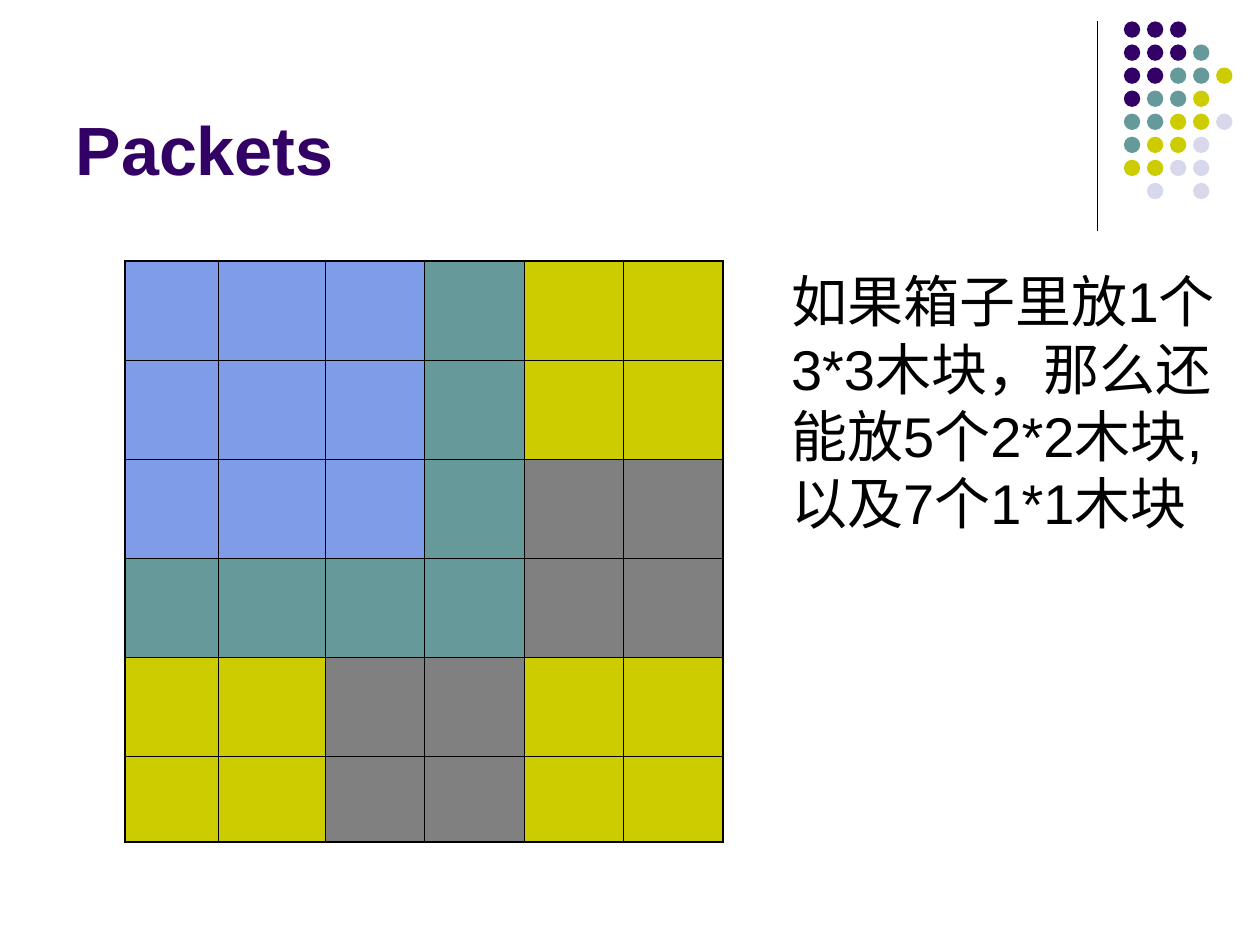
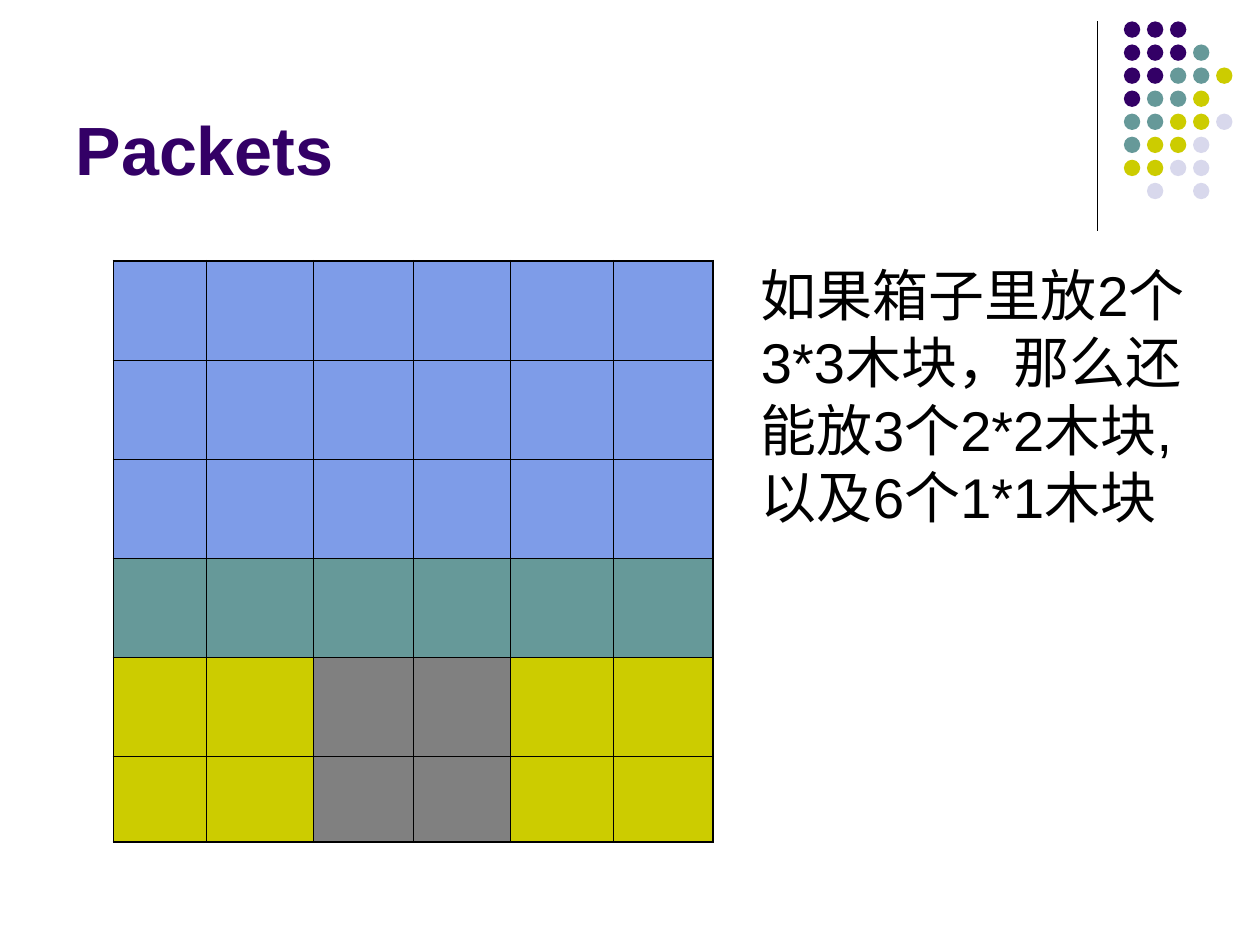
import dataclasses
import lxml.etree
import pptx
import pptx.dml.color
import pptx.enum.shapes
import pptx.enum.text
import pptx.oxml.ns
import pptx.util


@dataclasses.dataclass(frozen=True)
class Theme:
    font: str = "Arial"
    head: float = 39
    body: float = 32
    thin: float = 0.45
    thick: float = 1.08
    rule: float = 0.75
    black: str = "000000"
    plum: str = "330066"
    teal: str = "669999"
    lime: str = "CCCC00"
    mist: str = "D8D8EC"
    blue: str = "7E9CE8"
    gray: str = "808080"


THEME = Theme()
INKS = {"P": THEME.plum, "T": THEME.teal, "L": THEME.lime,
        "M": THEME.mist, "B": THEME.blue, "G": THEME.gray}
WIDE, HIGH = pptx.util.Inches(10), pptx.util.Inches(7.5)
COLS, ROWS = 100, 75
DOTS = ("PPP", "PPPT", "PPTTL", "PTTL", "TTLLM", "TLLM", "LLMM", " M M")
STEP, SIZE = 1.83, 1.3
DEPTHS = [7.87] * 5 + [6.8]
BLOCKS = [
    {"grid": ("BBBTLL", "BBBTLL", "BBBTGG", "TTTTGG", "LLGGLL", "LLGGLL"),
     "left": 9.9, "widths": (7.4, 8.5, 7.9, 7.9, 7.9, 7.9), "spot": (61.8, 20.7),
     "text": "如果箱子里放1个3*3木块，那么还能放5个2*2木块,以及7个1*1木块"},
    {"grid": ("BBBBBB", "BBBBBB", "BBBBBB", "TTTTTT", "LLGGLL", "LLGGLL"),
     "left": 9, "widths": (7.4, 8.5, 7.9, 7.7, 8.2, 7.9), "spot": (59.4, 20.2),
     "text": "如果箱子里放2个3*3木块，那么还能放3个2*2木块,以及6个1*1木块"},
]


def across(cols):
    return round(WIDE * cols / COLS)


def down(rows):
    return round(HIGH * rows / ROWS)


def area(left, top, width, height):
    return across(left), down(top), across(width), down(height)


def put(item, **vals):
    for key, val in vals.items():
        setattr(item, key, val)


def ink(code):
    return pptx.dml.color.RGBColor.from_string(code)


def paint(fill, code):
    fill.solid()
    fill.fore_color.rgb = ink(code)


def write(frame, text, size, code, bold=False):
    part = frame.paragraphs[0]
    part.alignment = pptx.enum.text.PP_ALIGN.LEFT
    run = part.add_run()
    run.text = text
    put(run.font, name=THEME.font, size=pptx.util.Pt(size), bold=bold)
    run.font.color.rgb = ink(code)


def add_dot(group, col, row, code):
    spot = area(89.2 + col * STEP, 1.7 + row * STEP, SIZE, SIZE)
    dot = group.shapes.add_shape(pptx.enum.shapes.MSO_SHAPE.OVAL, *spot)
    dot.shadow.inherit = False
    paint(dot.fill, code)
    dot.line.fill.background()


def add_rule(group):
    kind = pptx.enum.shapes.MSO_CONNECTOR.STRAIGHT
    rule = group.shapes.add_connector(
        kind, across(87.1), down(1.7), across(87.1), down(18.3))
    rule.line.width = pptx.util.Pt(THEME.rule)
    rule.line.color.rgb = ink(THEME.black)
    lxml.etree.SubElement(rule.element.spPr, pptx.oxml.ns.qn("a:effectLst"))


def add_motif(slide):
    group = slide.shapes.add_group_shape()
    add_rule(group)
    for row, line in enumerate(DOTS):
        for col, mark in enumerate(line):
            if mark in INKS:
                add_dot(group, col, row, INKS[mark])
    slide.slide_layout.shapes.element.append(group.element)


def add_title(slide, text):
    title = slide.shapes.title
    left, top, width, height = area(5, 1.3, 82.5, 14.2)
    put(title, left=left, top=top, width=width, height=height)
    put(title.text_frame, vertical_anchor=pptx.enum.text.MSO_ANCHOR.BOTTOM,
        auto_size=pptx.enum.text.MSO_AUTO_SIZE.NONE, word_wrap=True)
    write(title.text_frame, text, THEME.head, THEME.plum, True)


def add_edge(cell, side, width):
    name = pptx.oxml.ns.qn
    props = cell._tc.get_or_add_tcPr()
    edge = lxml.etree.SubElement(props, name("a:ln" + side), w=str(pptx.util.Pt(width)))
    fill = lxml.etree.SubElement(edge, name("a:solidFill"))
    lxml.etree.SubElement(fill, name("a:srgbClr"), val=THEME.black)


def add_box(slide, grid, left, widths):
    spot = area(left, 20.7, sum(widths), sum(DEPTHS))
    table = slide.shapes.add_table(len(grid), len(widths), *spot).table
    put(table, first_row=False, horz_banding=False)
    for col, width in zip(table.columns, widths):
        col.width = across(width)
    for row, depth in zip(table.rows, DEPTHS):
        row.height = down(depth)
    for row, line in enumerate(grid):
        for col, mark in enumerate(line):
            cell = table.cell(row, col)
            outer = {"L": col == 0, "R": col == len(widths) - 1,
                     "T": row == 0, "B": row == len(grid) - 1}
            for side, rim in outer.items():
                add_edge(cell, side, THEME.thick if rim else THEME.thin)
            paint(cell.fill, INKS[mark])


def add_note(slide, text, spot):
    frame = slide.shapes.add_textbox(*area(*spot, 36.2, 27.7)).text_frame
    put(frame, word_wrap=True,
        auto_size=pptx.enum.text.MSO_AUTO_SIZE.SHAPE_TO_FIT_TEXT)
    write(frame, text, THEME.body, THEME.black)


def main():
    deck = pptx.Presentation()
    put(deck, slide_width=WIDE, slide_height=HIGH)
    layout = deck.slide_layouts.get_by_name("Title Only")
    for block in BLOCKS:
        slide = deck.slides.add_slide(layout)
        add_title(slide, "Packets")
        add_box(slide, block["grid"], block["left"], block["widths"])
        add_note(slide, block["text"], block["spot"])
    add_motif(slide)
    deck.save("out.pptx")


if __name__ == "__main__":
    main()
